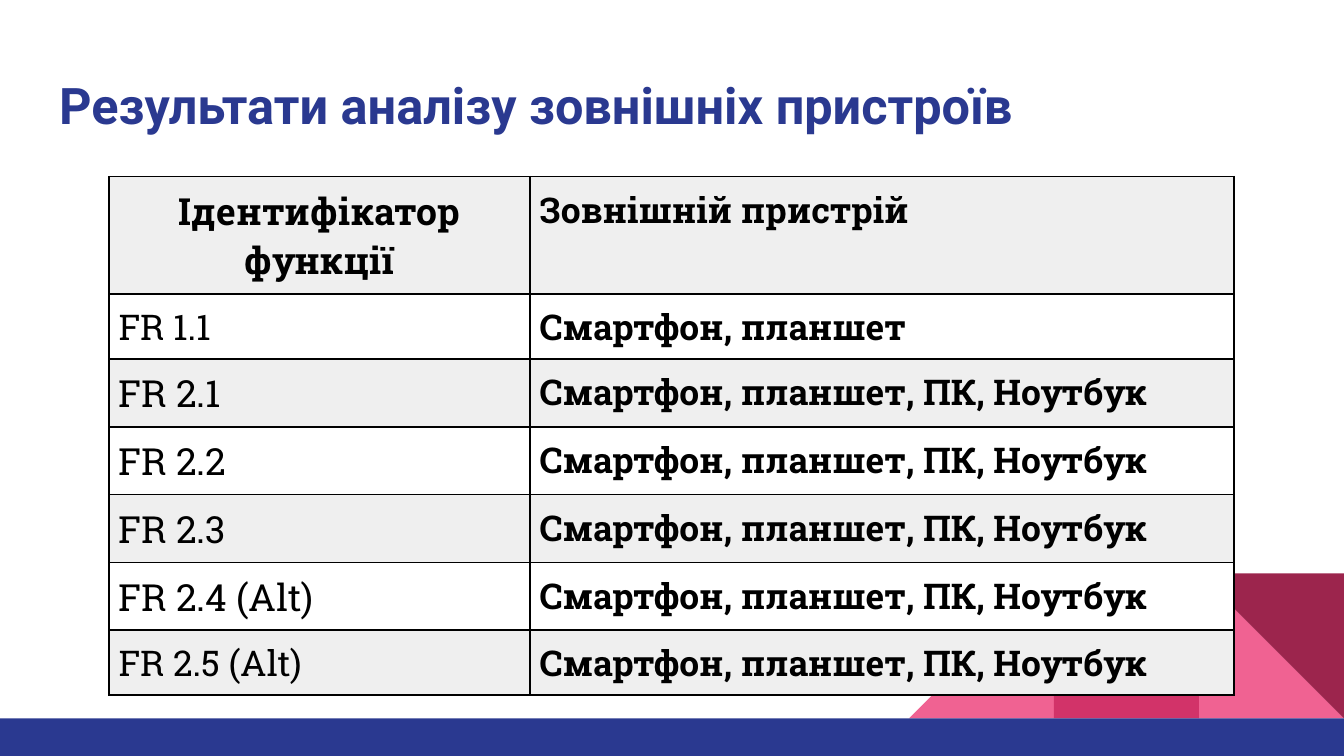
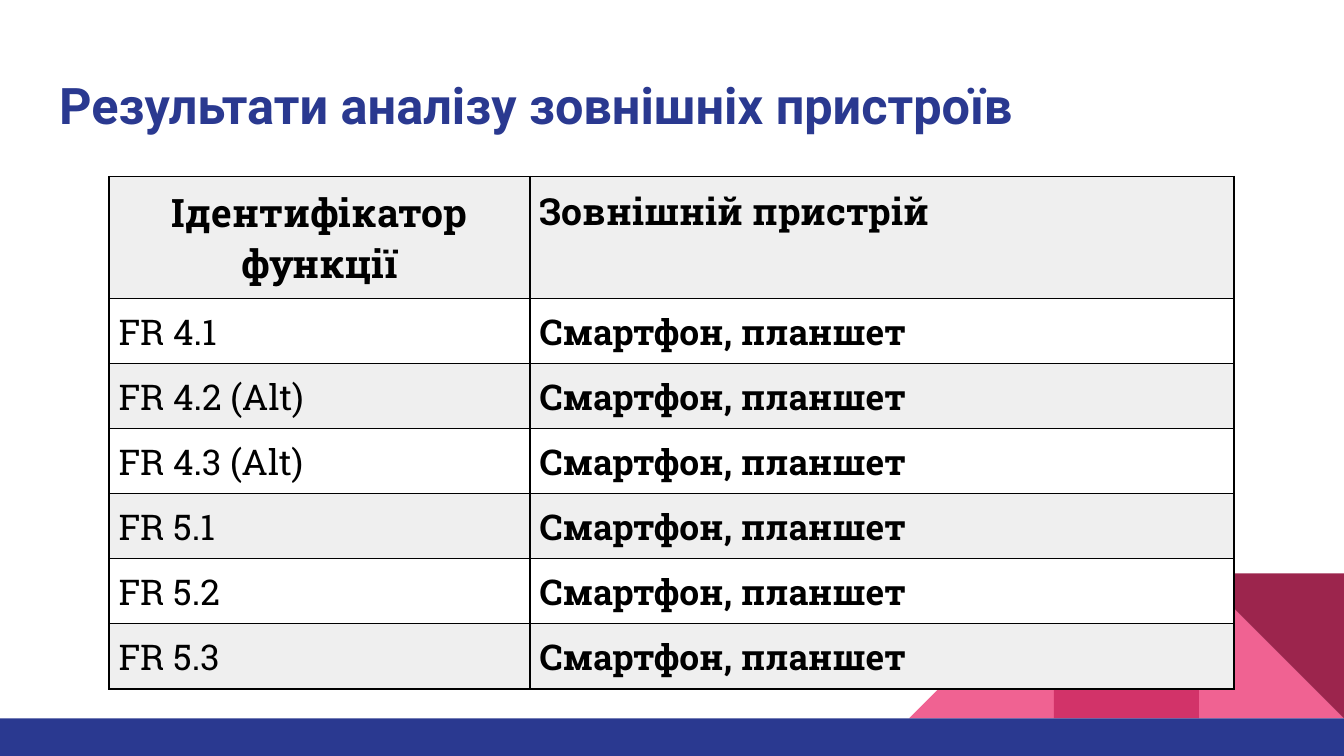
from lxml import etree
from pptx import Presentation
from pptx import util as u
from pptx.dml.color import RGBColor
from pptx.enum import shapes, text
from pptx.oxml import ns

# Content: cells are (lines, size in points)
TITLE = "Результати аналізу зовнішніх пристроїв"
ID_HEAD = ["Ідентифікатор", "функції"]
DEVICE_HEAD = ["Зовнішній пристрій"]
MOBILE = "Смартфон, планшет"
ALL_DEVICES = "Смартфон, планшет, ПК, Ноутбук"
DEVICE_SIZE = 19

PAGES = [
    {
        "head_sizes": (20, 19),
        "rows": [
            ("FR 1.1", 19, MOBILE),
            ("FR 2.1", 20, ALL_DEVICES),
            ("FR 2.2", 20, ALL_DEVICES),
            ("FR 2.3", 20, ALL_DEVICES),
            ("FR 2.4 (Alt)", 20, ALL_DEVICES),
            ("FR 2.5 (Alt)", 19, ALL_DEVICES),
        ],
    },
    {
        "head_sizes": (21, 20),
        "rows": [
            (name, 19, MOBILE)
            for name in ("FR 4.1", "FR 4.2 (Alt)", "FR 4.3 (Alt)",
                         "FR 5.1", "FR 5.2", "FR 5.3")
        ],
    },
]

# Shared style, lengths in centimetres
COLORS = {
    "navy": "2A3990", "pink": "F06292", "rose": "D23369", "wine": "9C254D",
    "black": "000000", "white": "FFFFFF", "grey": "EFEFEF",
}
TITLE_FONT, TABLE_FONT = "Roboto", "Roboto Slab"
WIDTH, HEIGHT = 25.4, 14.29
BAND_TOP = 13.58
TILE = 2.74
TABLE_LEFT, TABLE_TOP = 2.06, 3.34
COLUMNS = (7.96, 13.3)
HEAD_HEIGHTS = {20: 2.22, 21: 2.3}
ROW_HEIGHTS = {19: 1.23, 20: 1.28}
CELL_INSET, TITLE_INSET = 0.18, 0.25

# Corner tiles: shape, steps from the right edge, rotation, colour
TRIANGLE = shapes.MSO_SHAPE.RIGHT_TRIANGLE
RECTANGLE = shapes.MSO_SHAPE.RECTANGLE
TILES = [
    (TRIANGLE, 1, 0, "pink"),
    (TRIANGLE, 3, 270, "pink"),
    (RECTANGLE, 2, 0, "rose"),
    (TRIANGLE, 1, 180, "wine"),
]


def rgb(name):
    return RGBColor.from_string(COLORS[name])


def set_insets(target, inset):
    for side in ("left", "right", "top", "bottom"):
        setattr(target, f"margin_{side}", u.Cm(inset))


def write(frame, lines, size, font, color, bold, align=text.PP_ALIGN.LEFT):
    for index, line in enumerate(lines):
        para = frame.add_paragraph() if index else frame.paragraphs[0]
        para.alignment = align
        span = para.add_run()
        span.text = line
        span.font.size = u.Pt(size)
        span.font.name = font
        span.font.bold = bold
        span.font.color.rgb = rgb(color)


def add_block(page, kind, left, top, width, height, color):
    block = page.shapes.add_shape(
        kind, u.Cm(left), u.Cm(top), u.Cm(width), u.Cm(height))
    block.shadow.inherit = False
    block.fill.solid()
    block.fill.fore_color.rgb = rgb(color)
    block.line.fill.background()
    return block


def add_frame(page):
    # Corner tiles and bottom band
    for kind, steps, rotation, color in TILES:
        tile = add_block(page, kind, WIDTH - steps * TILE, BAND_TOP - TILE,
                         TILE, TILE, color)
        tile.rotation = rotation
    add_block(page, RECTANGLE, 0, BAND_TOP, WIDTH, HEIGHT - BAND_TOP, "navy")

    # Title
    box = page.shapes.add_textbox(u.Cm(0.87), u.Cm(1.14), u.Cm(23.67), u.Cm(1.68))
    frame = box.text_frame
    frame.word_wrap = True
    frame.vertical_anchor = text.MSO_ANCHOR.MIDDLE
    set_insets(frame, TITLE_INSET)
    write(frame, [TITLE], 27, TITLE_FONT, "navy", True)


def add_borders(cell):
    props = cell._tc.get_or_add_tcPr()
    for side in ("lnL", "lnR", "lnT", "lnB"):
        line = etree.SubElement(props, ns.qn(f"a:{side}"), w=str(u.Pt(1)))
        fill = etree.SubElement(line, ns.qn("a:solidFill"))
        etree.SubElement(fill, ns.qn("a:srgbClr"), val=COLORS["black"])


def fill_cell(cell, lines, size, bold, align, color):
    set_insets(cell, CELL_INSET)
    add_borders(cell)
    cell.fill.solid()
    cell.fill.fore_color.rgb = rgb(color)
    write(cell.text_frame, lines, size, TABLE_FONT, "black", bold, align)


def add_device_table(page, head_sizes, rows):
    heights = [HEAD_HEIGHTS[head_sizes[0]]]
    heights += [ROW_HEIGHTS[size] for _, size, _ in rows]
    table = page.shapes.add_table(
        len(heights), len(COLUMNS), u.Cm(TABLE_LEFT), u.Cm(TABLE_TOP),
        u.Cm(sum(COLUMNS)), u.Cm(sum(heights))).table
    for column, width in zip(table.columns, COLUMNS):
        column.width = u.Cm(width)
    for row, height in zip(table.rows, heights):
        row.height = u.Cm(height)

    left, center = text.PP_ALIGN.LEFT, text.PP_ALIGN.CENTER
    cells = [((ID_HEAD, head_sizes[0], True, center),
              (DEVICE_HEAD, head_sizes[1], True, left))]
    cells += [(([name], size, False, left), ([device], DEVICE_SIZE, True, left))
              for name, size, device in rows]
    for r, row in enumerate(cells):
        for c, content in enumerate(row):
            fill_cell(table.cell(r, c), *content, "white" if r % 2 else "grey")


def main():
    deck = Presentation()
    deck.slide_width, deck.slide_height = u.Cm(WIDTH), u.Cm(HEIGHT)
    for content in PAGES:
        page = deck.slides.add_slide(deck.slide_layouts[6])
        add_frame(page)
        add_device_table(page, **content)
    deck.save("out.pptx")


if __name__ == "__main__":
    main()
